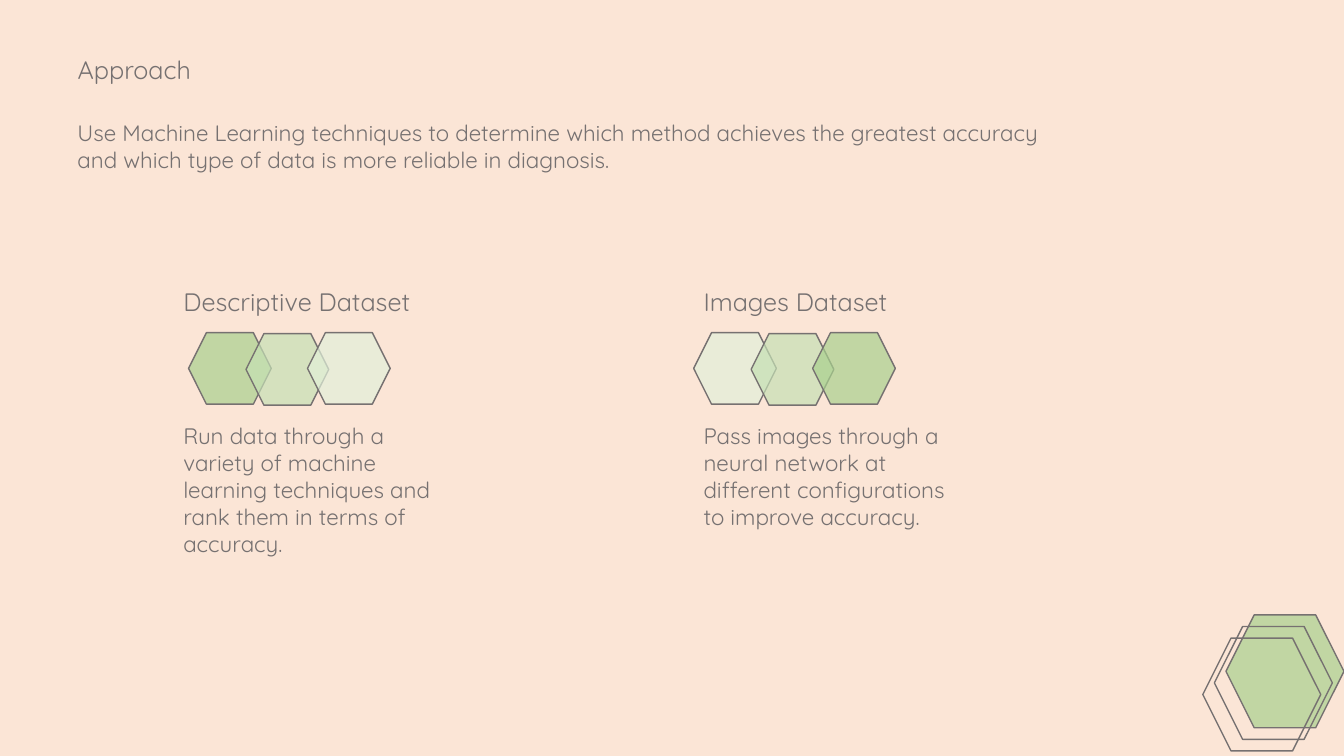
from pptx import Presentation
from pptx.dml.color import RGBColor
from pptx.enum.shapes import MSO_SHAPE as Shape
from pptx.enum.text import MSO_ANCHOR as Anchor, MSO_AUTO_SIZE as Fit, PP_ALIGN as Align
from pptx.oxml.ns import qn
from pptx.util import Inches, Pt
from lxml.etree import SubElement as Sub

DARK, MID, PALE = "A9D18E", "C5E0B4", "E2F0D9"


def color(code):
    """Turn a hex string into a colour."""
    return RGBColor.from_string(code)


class Deck:
    """Holds the style, the current slide and the place shapes go to."""

    font, ink, back = "Quicksand", "767171", "FBE5D6"
    head, body = 18, 16

    def __init__(self):
        """Start a widescreen deck."""
        self.prs = Presentation()
        self.prs.slide_width = Inches(13.33)
        self.prs.slide_height = Inches(7.5)

    def start(self):
        """Add a title-only slide with a plain background."""
        self.slide = self.prs.slides.add_slide(self.prs.slide_layouts[5])
        fill = self.slide.background.fill
        fill.solid()
        fill.fore_color.rgb = color(self.back)
        self.home = self.slide.shapes

    def group(self):
        """Send the next shapes to a new group."""
        self.home = self.slide.shapes.add_group_shape().shapes

    def style(self, box, text, size, fit):
        """Put styled text into a box."""
        frame = box.text_frame
        frame.text = text
        frame.word_wrap = True
        frame.auto_size = fit
        frame.vertical_anchor = Anchor.TOP
        for para in frame.paragraphs:
            para.alignment = Align.LEFT
            for run in para.runs:
                run.font.name = self.font
                run.font.size = Pt(size)
                run.font.color.rgb = color(self.ink)

    def title(self, text, x, y, w, h):
        """Move and fill the title placeholder."""
        box = self.slide.shapes.title
        box.left, box.top, box.width, box.height = map(Inches, (x, y, w, h))
        self.style(box, text, self.head, Fit.NONE)

    def text(self, text, x, y, w, h, size):
        """Add a text box."""
        box = self.home.add_textbox(*map(Inches, (x, y, w, h)))
        self.style(box, text, size, Fit.SHAPE_TO_FIT_TEXT)

    def hexagon(self, x, y, w, h, code=None):
        """Add an outlined hexagon, with a 70% opaque fill if given."""
        hexa = self.home.add_shape(Shape.HEXAGON, *map(Inches, (x, y, w, h)))
        hexa.shadow.inherit = False
        hexa.line.color.rgb = color(self.ink)
        hexa.line.width = Pt(1)
        if code is None:
            hexa.fill.background()
            return
        hexa.fill.solid()
        hexa.fill.fore_color.rgb = color(code)
        tint = hexa.element.spPr.find(qn("a:solidFill"))[0]
        Sub(tint, qn("a:alpha")).set("val", "70000")

    def column(self, x, row, name, note, width, tall, codes):
        """Add a heading, a row of three hexagons and a note."""
        self.group()
        self.text(name, x, 2.79, width, 0.4, self.head)
        self.text(note, x, 4.14, 2.73, tall, self.body)
        for (dx, y), code in zip([(0, 3.3), (0.57, 3.31), (1.18, 3.3)], codes):
            self.hexagon(row + dx, y, 0.82, 0.71, code)


deck = Deck()
deck.start()
deck.title("Approach", 0.67, 0.49, 5.28, 0.4)
deck.text("Use Machine Learning techniques to determine which method achieves "
          "the greatest accuracy and which type of data is more reliable in "
          "diagnosis.", 0.67, 1.13, 9.77, 0.64, deck.body)

deck.group()
for step, code in enumerate([DARK, None, None]):
    shift = 0.23 * step / 2
    deck.hexagon(12.16 - shift, 6.1 + shift, 1.17, 1.12, code)

deck.column(1.72, 1.87, "Descriptive Dataset",
            "Run data through a variety of machine learning techniques and "
            "rank them in terms of accuracy.", 2.81, 1.45, [DARK, MID, PALE])
deck.column(6.88, 6.88, "Images Dataset",
            "Pass images through a neural network at different configurations "
            "to improve accuracy.", 2.24, 1.18, [PALE, MID, DARK])

deck.prs.save("out.pptx")
